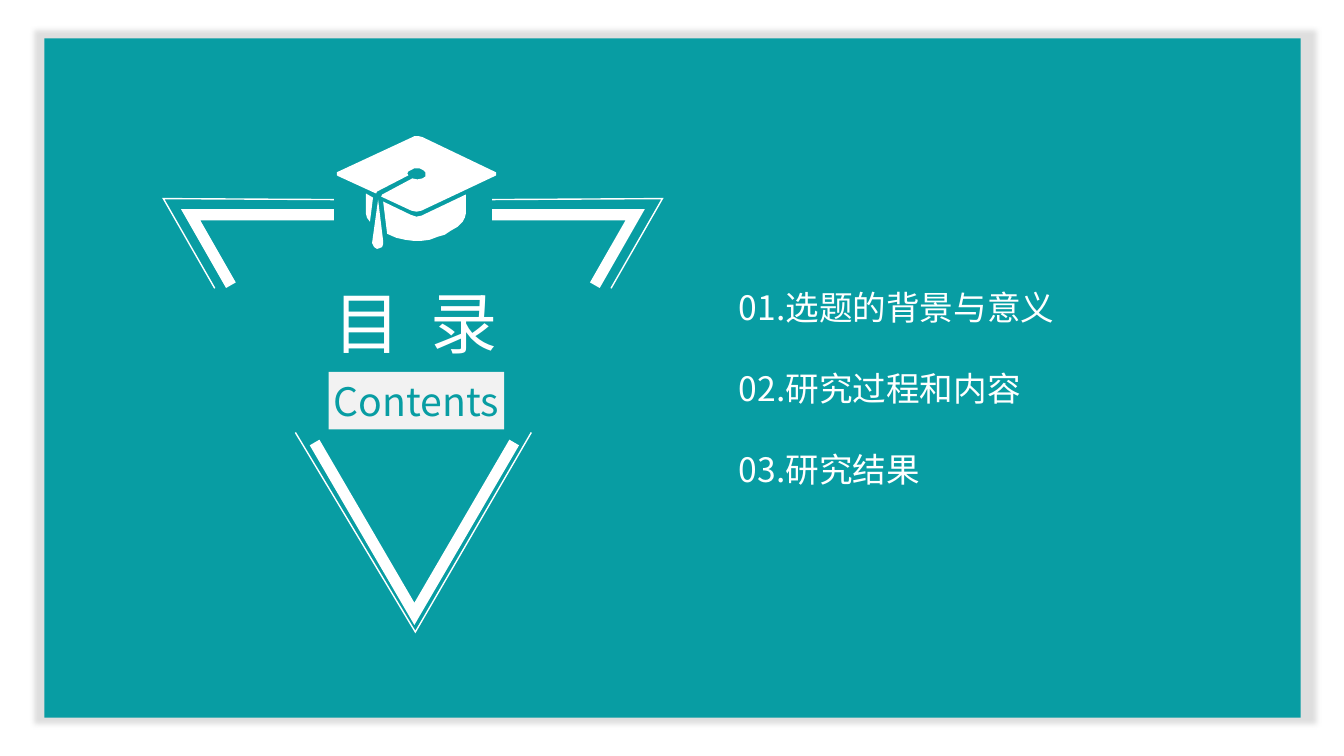
import pptx
import pptx.util
import pptx.oxml
import pptx.oxml.ns
from pptx.dml.color import RGBColor
from pptx.enum.shapes import MSO_SHAPE
from pptx.enum.text import MSO_ANCHOR, MSO_AUTO_SIZE, PP_ALIGN

# Content
TITLE = "目 录"
LABEL = "Contents"
TOPICS = ["01.选题的背景与意义", "02.研究过程和内容", "03.研究结果"]

FONT = "Noto Sans CJK SC"
TEAL = RGBColor(0x08, 0x9D, 0xA3)
WHITE = RGBColor(0xFF, 0xFF, 0xFF)
PALE = RGBColor(0xF2, 0xF2, 0xF2)

PX = 9144  # EMU per px, 100 px to the inch
SLIDE = (1333, 750)
PANEL = (44, 38, 1246, 674)
TITLE_BOX = (302, 274, 221, 91)
LABEL_BOX = (326, 369, 174, 57)
TOPICS_BOX = (723, 240, 462, 252)

# Triangle frame: line width in pt, left corner, bottom corner
FRAMES = [
    (1, [(213, 286), (162, 197), (331, 198)], [(527, 429), (412, 627), (293, 429)]),
    (8, [(229, 283), (189, 213), (331, 213)], [(510, 439), (411, 609), (312, 439)]),
]
MIRROR_SUM = 819  # left x + right x

# Graduation cap: board, side, skull, tassel
CAP = [
    [(407, 137), (411, 135), (415, 135), (419, 136), (490, 170), (492, 171),
     (492, 174), (490, 175), (418, 209), (413, 210), (408, 209), (378, 195),
     (379, 193), (409, 177), (414, 178), (419, 177), (422, 175), (422, 171),
     (420, 169), (416, 167), (411, 167), (405, 170), (404, 172), (405, 174),
     (374, 190), (373, 192), (336, 175), (334, 174), (334, 171), (336, 170)],
    [(363, 192), (370, 196), (367, 220), (364, 216), (363, 212)],
    [(418, 214), (462, 193), (462, 212), (461, 216), (459, 220), (454, 225),
     (447, 229), (441, 233), (434, 235), (426, 238), (418, 239), (410, 239),
     (402, 238), (393, 236), (384, 232), (380, 200), (407, 213), (413, 215)],
    [(369, 241), (375, 198), (380, 239), (380, 242), (379, 245), (377, 246),
     (374, 247), (371, 245)],
]

SHADOW = (
    '<a:outerShdw %s blurRad="50800" dist="25400" dir="0" sx="102000" sy="102000" '
    'algn="ctr" rotWithShape="0"><a:srgbClr val="A6A6A6"><a:alpha val="36000"/>'
    '</a:srgbClr></a:outerShdw>' % pptx.oxml.ns.nsdecls("a"))
MITER = '<a:miter %s lim="800000"/>' % pptx.oxml.ns.nsdecls("a")


def emu(box):
    return [v * PX for v in box]


def add_rect(shapes, box, color):
    sp = shapes.add_shape(MSO_SHAPE.RECTANGLE, *emu(box))
    sp.shadow.inherit = False
    sp.fill.solid()
    sp.fill.fore_color.rgb = color
    sp.line.fill.background()
    return sp


def add_outline(shapes, points, width=None):
    """Filled shape, or an open stroke if a width is given."""
    builder = shapes.build_freeform(*points[0], scale=PX)
    builder.add_line_segments(points[1:], close=width is None)
    sp = builder.convert_to_shape()
    sp.shadow.inherit = False
    if width is None:
        sp.fill.solid()
        sp.fill.fore_color.rgb = WHITE
        sp.line.fill.background()
    else:
        sp.fill.background()
        sp.line.color.rgb = WHITE
        sp.line.width = pptx.util.Pt(width)
        sp.line._ln.append(pptx.oxml.parse_xml(MITER))


def write(sp, lines, size, color, align, spacing=1.0, tracking=0):
    tf = sp.text_frame
    tf.word_wrap = True
    tf.auto_size = MSO_AUTO_SIZE.NONE
    for i, line in enumerate(lines):
        p = tf.paragraphs[0] if i == 0 else tf.add_paragraph()
        p.alignment = align
        p.line_spacing = spacing
        r = p.add_run()
        r.text = line
        r.font.name = FONT
        r.font.size = pptx.util.Pt(size)
        r.font.color.rgb = color
        rpr = r._r.get_or_add_rPr()
        rpr.set("spc", str(tracking))
        ea = pptx.oxml.parse_xml(
            '<a:ea %s typeface="%s"/>' % (pptx.oxml.ns.nsdecls("a"), FONT))
        rpr.find(pptx.oxml.ns.qn("a:latin")).addnext(ea)
    return tf


def main():
    prs = pptx.Presentation()
    prs.slide_width, prs.slide_height = emu(SLIDE)
    s = prs.slides.add_slide(prs.slide_layouts[5])
    shapes = s.shapes

    # Background panel
    panel = add_rect(shapes, PANEL, TEAL)
    panel._element.spPr.find(pptx.oxml.ns.qn("a:effectLst")).append(
        pptx.oxml.parse_xml(SHADOW))

    # Triangle frame
    for width, corner, bottom in FRAMES:
        mirrored = [(MIRROR_SUM - x, y) for x, y in corner]
        for points in (corner, mirrored, bottom):
            add_outline(shapes, points, width)

    # Graduation cap
    for points in CAP:
        add_outline(shapes, points)

    # Topics
    topics = shapes.add_textbox(*emu(TOPICS_BOX))
    write(topics, TOPICS, 24, WHITE, PP_ALIGN.LEFT, spacing=2.0)

    # Title, brought in front of the panel
    title = shapes.title
    title.left, title.top, title.width, title.height = emu(TITLE_BOX)
    tf = write(title, [TITLE], 48, WHITE, PP_ALIGN.CENTER, tracking=540)
    tf.vertical_anchor = MSO_ANCHOR.TOP
    shapes._spTree.append(title._element)

    # Label
    label = add_rect(shapes, LABEL_BOX, PALE)
    tf = write(label, [LABEL], 28, TEAL, PP_ALIGN.CENTER)
    tf.margin_left = tf.margin_right = 0
    tf.vertical_anchor = MSO_ANCHOR.MIDDLE

    prs.save("out.pptx")


if __name__ == "__main__":
    main()
